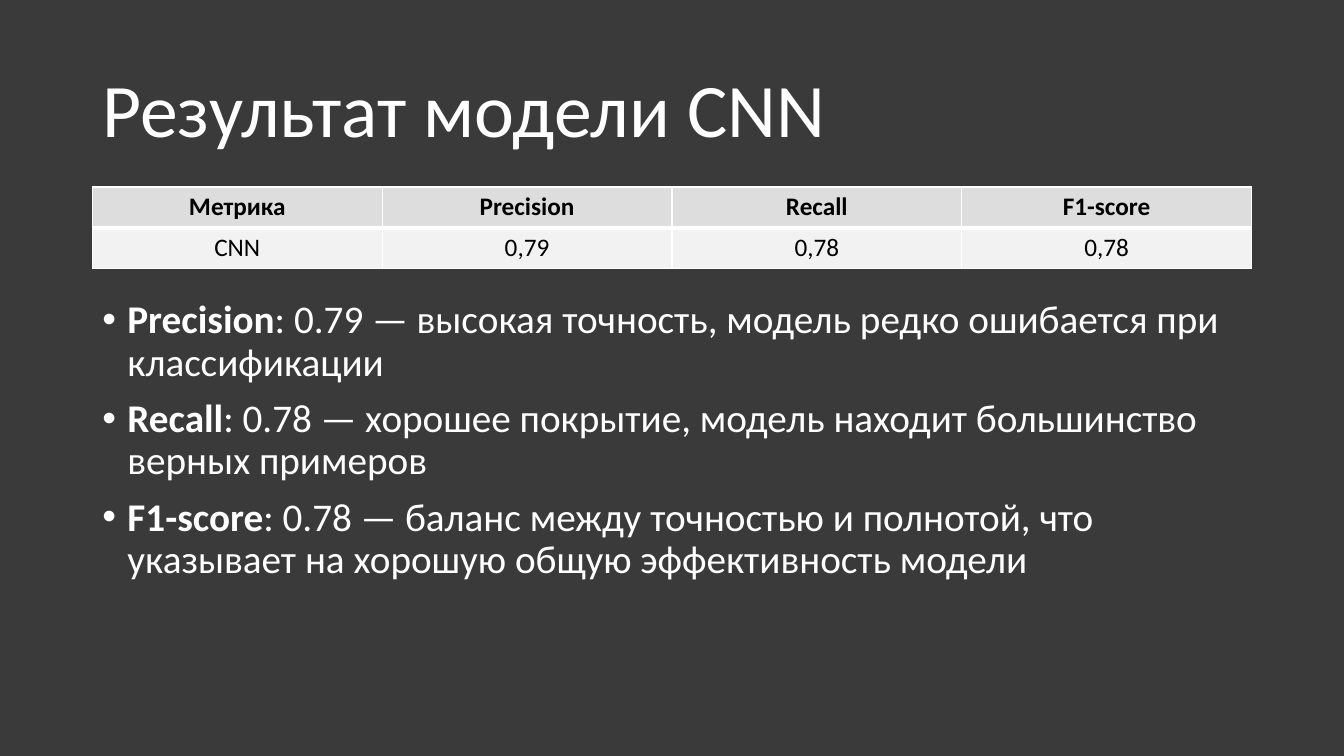
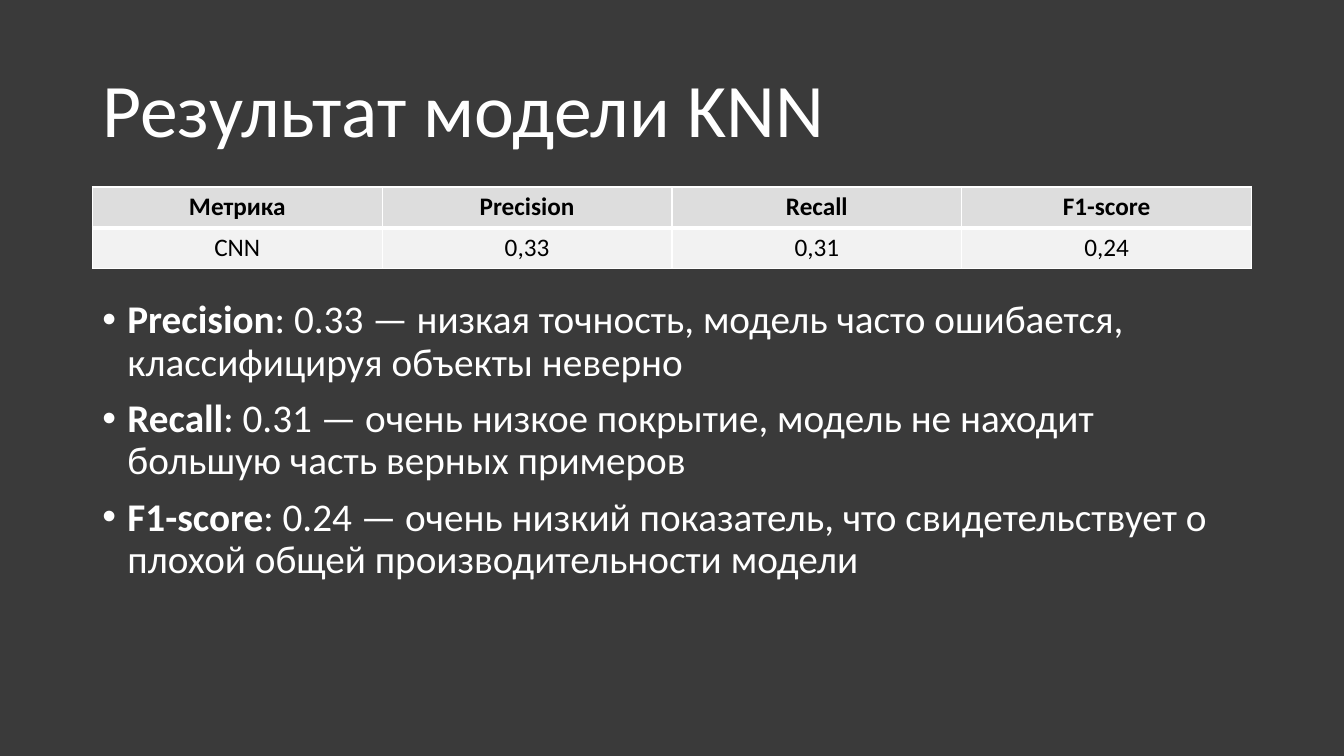
"""Build two slides that report model metrics."""
from dataclasses import dataclass
from typing import NamedTuple

from lxml import etree
from pptx import Presentation
from pptx.dml.color import RGBColor
from pptx.enum import text
from pptx.oxml import ns
from pptx.util import Emu, Pt


@dataclass(frozen=True)
class Theme:
    font: str = "Calibri"
    back: str = "3A3A3A"
    light: str = "FFFFFF"
    dark: str = "000000"
    head: str = "DDDDDD"
    row: str = "F2F2F2"
    title: int = 54
    body: int = 28
    cell: int = 18
    lead: float = 0.9
    gap: int = 10
    thin: int = 1
    thick: int = 3


class Box(NamedTuple):
    x: int
    y: int
    w: int
    h: int


class Score(NamedTuple):
    name: str
    value: str
    note: str


class Model(NamedTuple):
    title: str
    label: str
    scores: list[Score]


THEME = Theme()
UNIT = 9525
PAGE = (1280, 720)
TITLE = Box(88, 38, 1104, 139)
TABLE = Box(88, 178, 1104, 78)
BODY = Box(88, 281, 1104, 375)
INDENT = 24
MODELS = [
    Model("Результат модели CNN", "CNN", [
        Score("Precision", "0.79", "высокая точность, модель редко ошибается при классификации"),
        Score("Recall", "0.78", "хорошее покрытие, модель находит большинство верных примеров"),
        Score("F1-score", "0.78", "баланс между точностью и полнотой, "
              "что указывает на хорошую общую эффективность модели"),
    ]),
    Model("Результат модели KNN", "CNN", [
        Score("Precision", "0.33", "низкая точность, модель часто ошибается, "
              "классифицируя объекты неверно"),
        Score("Recall", "0.31", "очень низкое покрытие, модель не находит "
              "большую часть верных примеров"),
        Score("F1-score", "0.24", "очень низкий показатель, что свидетельствует "
              "о плохой общей производительности модели"),
    ]),
]


def px(size: int) -> Emu:
    return Emu(size * UNIT)


def write(para, words: str, *, size: int, color: str = THEME.light, bold: bool = False) -> None:
    run = para.add_run()
    run.text = words
    font = run.font
    font.name, font.size, font.bold = THEME.font, Pt(size), bold
    font.color.rgb = RGBColor.from_string(color)


def frame(slide, box: Box, anchor=text.MSO_ANCHOR.TOP):
    area = slide.shapes.add_textbox(*map(px, box)).text_frame
    area.word_wrap = True
    area.vertical_anchor = anchor
    return area


def bullet(para) -> None:
    props = para._p.get_or_add_pPr()
    props.set("marL", str(px(INDENT)))
    props.set("indent", str(-px(INDENT)))
    etree.SubElement(props, ns.qn("a:buFont")).set("typeface", "Arial")
    etree.SubElement(props, ns.qn("a:buChar")).set("char", "•")


def border(cell, side: str, width: int) -> None:
    props = cell._tc.get_or_add_tcPr()
    line = etree.SubElement(props, ns.qn(f"a:ln{side}"), w=str(Pt(width)))
    fill = etree.SubElement(line, ns.qn("a:solidFill"))
    etree.SubElement(fill, ns.qn("a:srgbClr"), val=THEME.light)


def fill_cell(cell, words: str, top: bool) -> None:
    for side in "LRTB":
        inner = side == ("B" if top else "T")
        border(cell, side, THEME.thick if inner else THEME.thin)
    cell.fill.solid()
    cell.fill.fore_color.rgb = RGBColor.from_string(THEME.head if top else THEME.row)
    para = cell.text_frame.paragraphs[0]
    para.alignment = text.PP_ALIGN.CENTER
    write(para, words, size=THEME.cell, color=THEME.dark, bold=top)


def add_grid(slide, model: Model) -> None:
    rows = [
        ["Метрика", *(score.name for score in model.scores)],
        [model.label, *(score.value.replace(".", ",") for score in model.scores)],
    ]
    grid = slide.shapes.add_table(len(rows), len(rows[0]), *map(px, TABLE)).table
    grid.horz_banding = False
    for r, row in enumerate(rows):
        for c, words in enumerate(row):
            fill_cell(grid.cell(r, c), words, r == 0)


def add_notes(slide, scores: list[Score]) -> None:
    area = frame(slide, BODY)
    for i, score in enumerate(scores):
        para = area.add_paragraph() if i else area.paragraphs[0]
        para.line_spacing = THEME.lead
        para.space_before = Pt(THEME.gap)
        bullet(para)
        write(para, score.name, size=THEME.body, bold=True)
        write(para, f": {score.value} — {score.note}", size=THEME.body)


def add_model(deck, model: Model) -> None:
    slide = deck.slides.add_slide(deck.slide_layouts[6])
    back = slide.background.fill
    back.solid()
    back.fore_color.rgb = RGBColor.from_string(THEME.back)
    para = frame(slide, TITLE, text.MSO_ANCHOR.MIDDLE).paragraphs[0]
    para.line_spacing = THEME.lead
    write(para, model.title, size=THEME.title)
    add_grid(slide, model)
    add_notes(slide, model.scores)


def main() -> None:
    deck = Presentation()
    deck.slide_width, deck.slide_height = map(px, PAGE)
    for model in MODELS:
        add_model(deck, model)
    deck.save("out.pptx")


if __name__ == "__main__":
    main()
